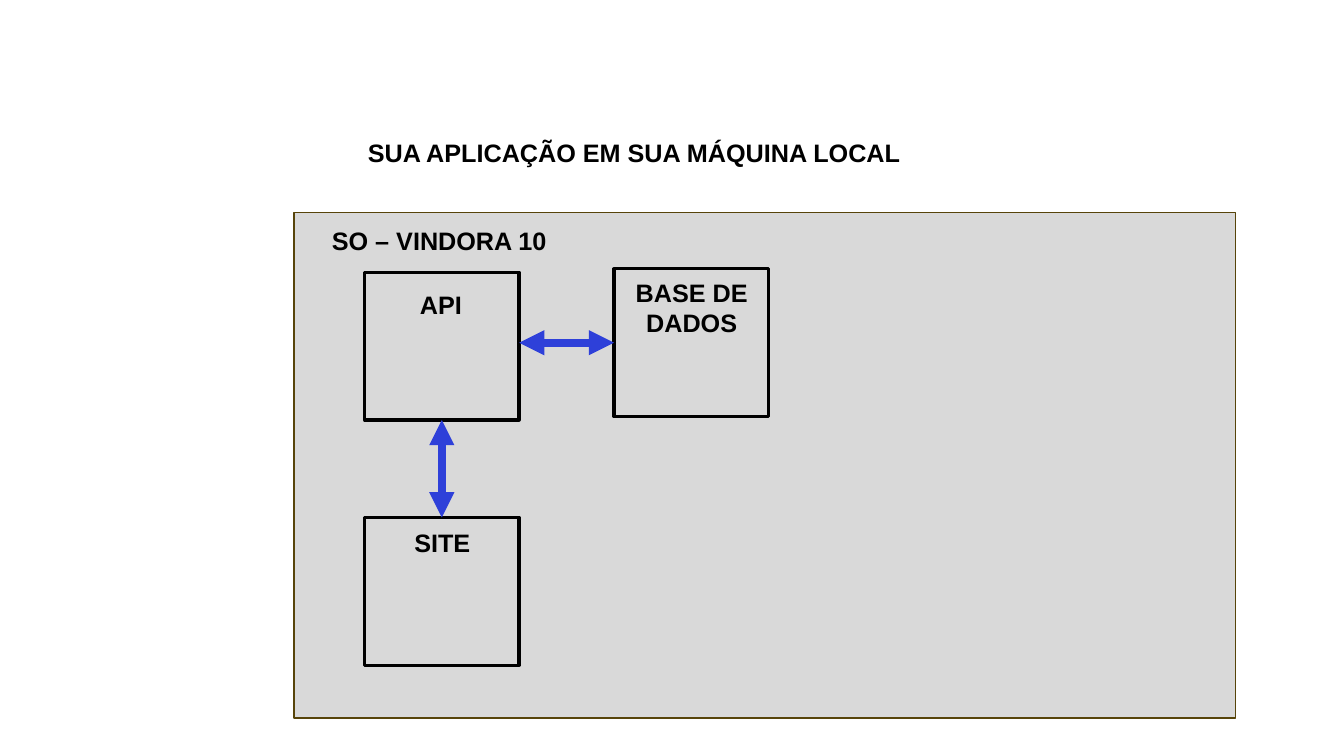
"""Builds a slide showing an application running on a local machine."""
from lxml import etree
from pptx import Presentation
from pptx.dml.color import RGBColor
from pptx.enum.shapes import MSO_CONNECTOR, MSO_SHAPE
from pptx.enum.text import MSO_ANCHOR, MSO_AUTO_SIZE, PP_ALIGN
from pptx.oxml.ns import qn
from pptx.util import Inches, Pt

RECTANGLE = MSO_SHAPE.RECTANGLE
STRAIGHT = MSO_CONNECTOR.STRAIGHT
TOP = MSO_ANCHOR.TOP
FIT = MSO_AUTO_SIZE.SHAPE_TO_FIT_TEXT
LEFT, CENTER = PP_ALIGN.LEFT, PP_ALIGN.CENTER

WIDTH, HEIGHT = Inches(13.33), Inches(7.5)
COLUMNS, ROWS = 16, 9
COLORS = {"machine": "D9D9D9", "frame": "57440A", "ink": "000000", "arrow": "2E40D9"}
FONT = {"name": "Arial", "size": Pt(18), "bold": True}
BOX_SIZE = (1.84, 1.76)
LINE_HEIGHT = 0.48
TITLE_ONLY = 5
SIDE_TOP, SIDE_LEFT, SIDE_BOTTOM = 0, 1, 2


def color(key):
    """Return the named colour."""
    return RGBColor.from_string(COLORS[key])


def place(column, row, columns, rows):
    """Turn grid units into left, top, width and height."""
    return (round(WIDTH * column / COLUMNS), round(HEIGHT * row / ROWS),
            round(WIDTH * columns / COLUMNS), round(HEIGHT * rows / ROWS))


def write(holder, words, align, wrap=False):
    """Put formatted words in a text holder."""
    frame = holder.text_frame
    frame.text = words
    layout = {"word_wrap": wrap, "auto_size": FIT, "vertical_anchor": TOP,
              "margin_left": Inches(0.1), "margin_right": Inches(0.1),
              "margin_top": Inches(0.05), "margin_bottom": Inches(0.05)}
    for name, value in layout.items():
        setattr(frame, name, value)
    paragraph = frame.paragraphs[0]
    spacing = {"alignment": align, "line_spacing": 1.0, "space_before": Pt(0)}
    for name, value in spacing.items():
        setattr(paragraph, name, value)
    font = paragraph.runs[0].font
    for name, value in FONT.items():
        setattr(font, name, value)
    font.color.rgb = color("ink")


def add_title(slide, words, area):
    """Move and fill the title placeholder."""
    title = slide.shapes.title
    title.left, title.top, title.width, title.height = place(*area)
    write(title, words, LEFT)


def add_label(slide, words, area, wrap=False):
    """Add a centred label."""
    write(slide.shapes.add_textbox(*place(*area)), words, CENTER, wrap)


def add_box(slide, area, outline, weight, fill=None):
    """Add an outlined rectangle, filled if a colour is given."""
    box = slide.shapes.add_shape(RECTANGLE, *place(*area))
    box.shadow.inherit = False
    if fill:
        box.fill.solid()
        box.fill.fore_color.rgb = color(fill)
    else:
        box.fill.background()
    box.line.color.rgb = color(outline)
    box.line.width = Pt(weight)
    return box


def add_double_arrow(slide, start, end):
    """Add a thick line with a head at both ends."""
    arrow = slide.shapes.add_connector(STRAIGHT, *start, *end)
    arrow.line.color.rgb = color("arrow")
    arrow.line.width = Pt(6)
    outline = arrow.line._get_or_add_ln()
    for tip in ("a:headEnd", "a:tailEnd"):
        etree.SubElement(outline, qn(tip), type="triangle")
    etree.SubElement(arrow._element.spPr, qn("a:effectLst"))
    return arrow


def main():
    """Build and save the slide."""
    deck = Presentation()
    deck.slide_width, deck.slide_height = WIDTH, HEIGHT
    slide = deck.slides.add_slide(deck.slide_layouts[TITLE_ONLY])

    add_title(slide, "SUA APLICAÇÃO EM SUA MÁQUINA LOCAL", (4.26, 1.57, 6.74, LINE_HEIGHT))
    add_box(slide, (3.5, 2.53, 11.21, 6.02), "frame", 1, "machine")
    add_label(slide, "SO – VINDORA 10", (3.68, 2.62, 3.1, LINE_HEIGHT))

    site, api, database = [
        add_box(slide, (*corner, *BOX_SIZE), "ink", 2.25)
        for corner in ((4.34, 6.16), (4.34, 3.24), (7.31, 3.2))]
    add_label(slide, "SITE", (4.81, 6.22, 0.91, LINE_HEIGHT))
    add_label(slide, "API", (4.81, 3.38, 0.88, LINE_HEIGHT))
    add_label(slide, "BASE DE DADOS", (7.34, 3.24, 1.79, 0.85), wrap=True)

    api_center = api.left + api.width // 2
    api_site = add_double_arrow(
        slide, (api_center, api.top + api.height), (api_center, site.top))
    api_site.begin_connect(api, SIDE_BOTTOM)
    api_site.end_connect(site, SIDE_TOP)

    database_middle = database.top + database.height // 2
    database_api = add_double_arrow(
        slide, (database.left, database_middle), (api.left + api.width, database_middle))
    database_api.begin_connect(database, SIDE_LEFT)

    deck.save("out.pptx")


if __name__ == "__main__":
    main()
